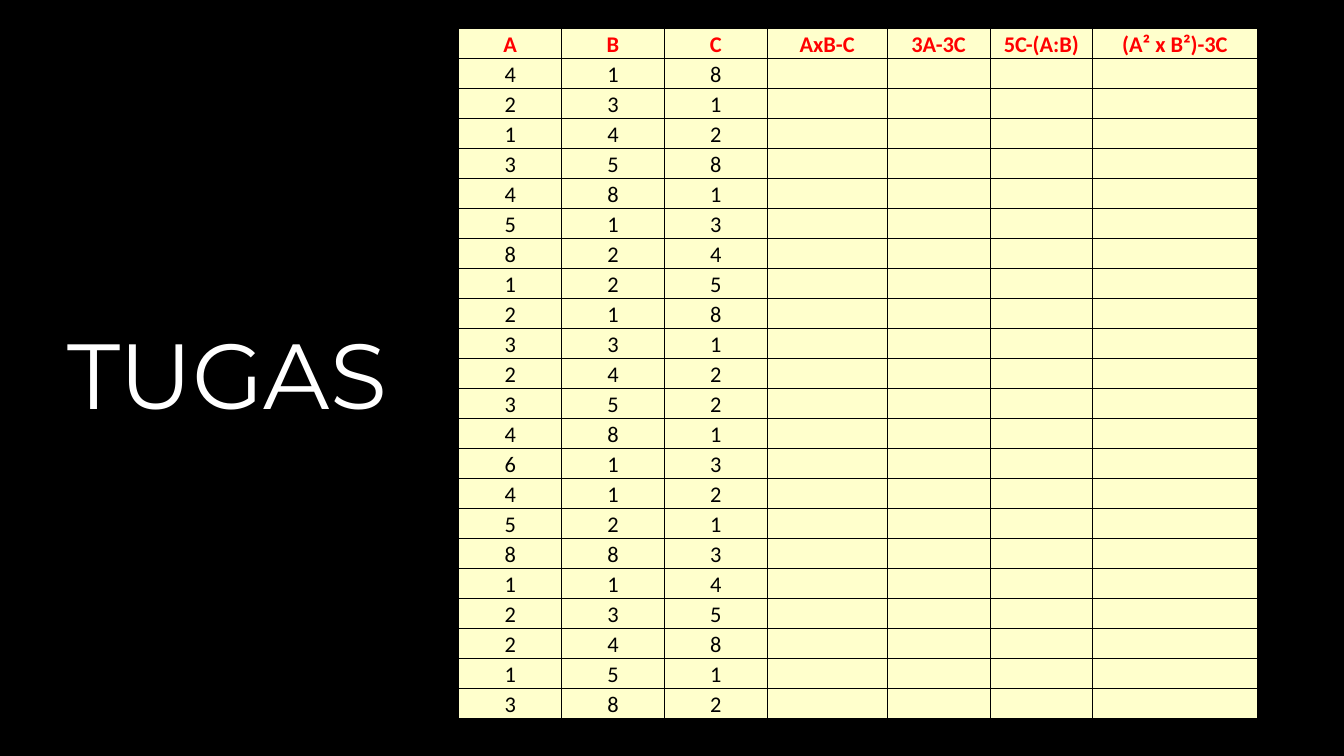
from lxml import etree
from pptx import Presentation
from pptx import util as u
from pptx.dml.color import RGBColor
from pptx.enum import text
from pptx.oxml import ns

BLACK = RGBColor(0x00, 0x00, 0x00)
WHITE = RGBColor(0xFF, 0xFF, 0xFF)
RED = RGBColor(0xFF, 0x00, 0x00)
CREAM = RGBColor(0xFF, 0xFF, 0xCC)

HEADERS = ["A", "B", "C", "AxB-C", "3A-3C", "5C-(A:B)", "(A² x B²)-3C"]
COLUMN_WIDTHS = [1.02, 1.02, 1.02, 1.19, 1.02, 1.02, 1.63]
# Each exercise gives the values of A, B and C; the answers stay empty
EXERCISES = [
    "418", "231", "142", "358", "481", "513", "824", "125",
    "218", "331", "242", "352", "481", "613", "412", "521",
    "883", "114", "235", "248", "151", "382",
]
TABLE_HEIGHT = 6.85
CELL_SIZE = 16


def format_run(run, font_name, size, color, bold=False):
    run.font.name = font_name
    run.font.size = u.Pt(size)
    run.font.color.rgb = color
    run.font.bold = bold


def add_title(slide, title):
    shape = slide.shapes.add_textbox(
        u.Inches(0.22), u.Inches(2.26), u.Inches(4.07), u.Inches(2.88))
    frame = shape.text_frame
    frame.word_wrap = True
    frame.vertical_anchor = text.MSO_ANCHOR.MIDDLE
    frame.text = title
    paragraph = frame.paragraphs[0]
    paragraph.alignment = text.PP_ALIGN.CENTER
    format_run(paragraph.runs[0], "Montserrat", 66, WHITE)


def add_borders(cell):
    properties = cell._tc.get_or_add_tcPr()
    for side in ("lnL", "lnR", "lnT", "lnB"):
        line = etree.SubElement(properties, ns.qn(f"a:{side}"), w=str(u.Pt(0.5)))
        fill = etree.SubElement(line, ns.qn("a:solidFill"))
        etree.SubElement(fill, ns.qn("a:srgbClr"), val=str(BLACK))


def fill_cell(cell, value, color, bold):
    add_borders(cell)
    cell.fill.solid()
    cell.fill.fore_color.rgb = CREAM
    cell.margin_left = cell.margin_right = cell.margin_top = u.Inches(0.01)
    cell.margin_bottom = 0
    cell.vertical_anchor = text.MSO_ANCHOR.BOTTOM
    cell.text = value
    paragraph = cell.text_frame.paragraphs[0]
    paragraph.alignment = text.PP_ALIGN.CENTER
    for run in paragraph.runs:
        format_run(run, "Calibri", CELL_SIZE, color, bold)
    if not value:
        # Keeps empty cells from stretching their row
        etree.SubElement(paragraph._p, ns.qn("a:endParaRPr"), sz=str(CELL_SIZE * 100))


def add_exercise_table(slide):
    rows = [HEADERS]
    for values in EXERCISES:
        rows.append(list(values) + [""] * (len(HEADERS) - len(values)))

    table = slide.shapes.add_table(
        len(rows), len(HEADERS), u.Inches(4.55), u.Inches(0.28),
        u.Inches(sum(COLUMN_WIDTHS)), u.Inches(TABLE_HEIGHT)).table
    table.horz_banding = False
    for column, width in zip(table.columns, COLUMN_WIDTHS):
        column.width = u.Inches(width)
    for row_index, row in enumerate(rows):
        is_header = row_index == 0
        table.rows[row_index].height = u.Inches(TABLE_HEIGHT / len(rows))
        for column_index, value in enumerate(row):
            fill_cell(table.cell(row_index, column_index), value,
                      RED if is_header else BLACK, is_header)


def main():
    presentation = Presentation()
    presentation.slide_width = u.Inches(13.33)
    presentation.slide_height = u.Inches(7.5)
    slide = presentation.slides.add_slide(presentation.slide_layouts[6])

    # Black background
    slide.background.fill.solid()
    slide.background.fill.fore_color.rgb = BLACK

    # Title on the left, exercises on the right
    add_title(slide, "TUGAS")
    add_exercise_table(slide)

    presentation.save("out.pptx")


if __name__ == "__main__":
    main()
